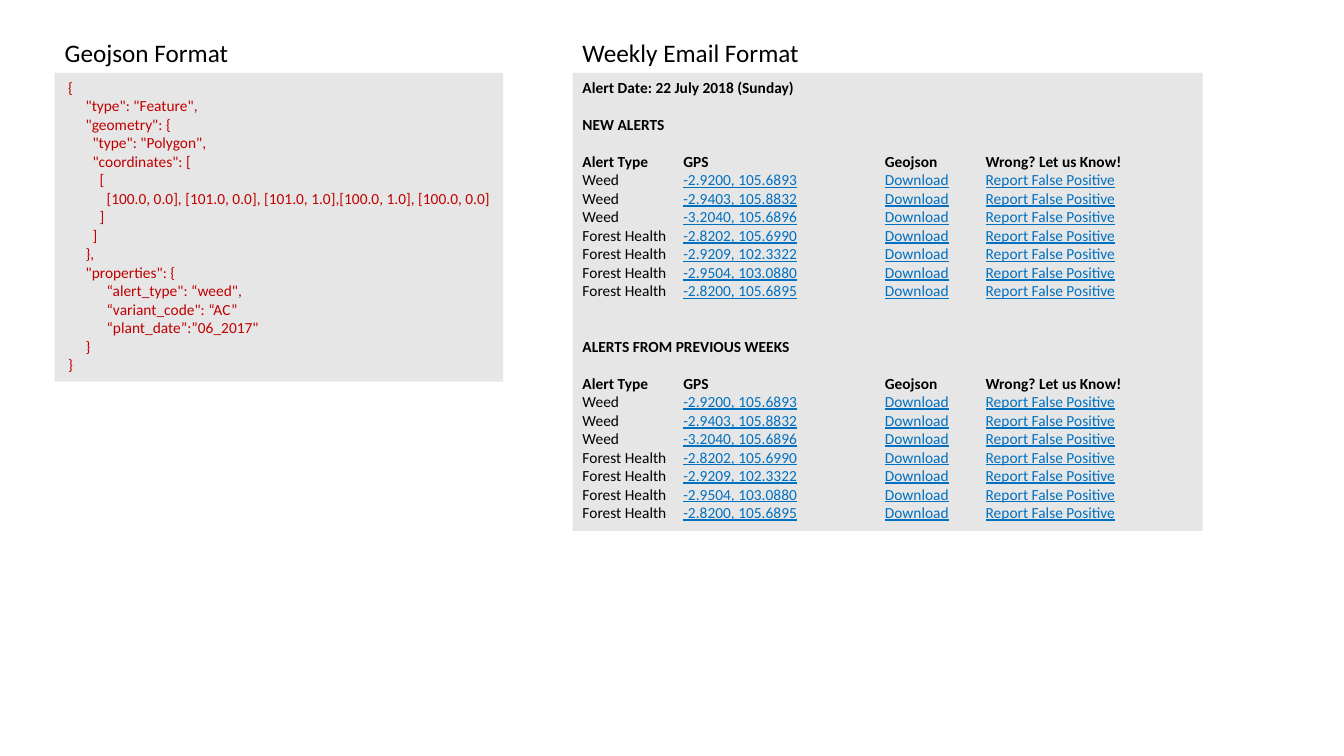
from lxml.etree import SubElement
from pptx import Presentation
from pptx.dml.color import RGBColor
from pptx.enum.text import MSO_AUTO_SIZE
from pptx.oxml.ns import qn
from pptx.util import Cm, Pt

PANEL_GREY = RGBColor(0xE7, 0xE6, 0xE6)
CODE_RED = RGBColor(0xC0, 0x00, 0x00)
LINK_BLUE = RGBColor(0x00, 0x70, 0xC0)
BLACK = RGBColor(0x00, 0x00, 0x00)

SPACE_WIDTH = Cm(0.088)
EMPTY_LINE = 13.2
COLUMN_STOPS = [Cm(2.54), Cm(7.62), Cm(10.16)]

# Each line of code with its indent, counted in spaces
CODE_LINES = [
    (1, '{'),
    (6, '"type": "Feature",'),
    (6, '"geometry": {'),
    (8, '"type": "Polygon",'),
    (8, '"coordinates": ['),
    (10, '['),
    (12, '[100.0, 0.0], [101.0, 0.0], [101.0, 1.0],[100.0, 1.0], [100.0, 0.0]'),
    (10, ']'),
    (8, ']'),
    (6, '},'),
    (6, '"properties": {'),
    (12, '“alert_type": “weed",'),
    (12, '“variant_code": “AC”'),
    (12, '“plant_date”:”06_2017"'),
    (6, '}'),
    (1, '}'),
]
COLUMN_HEADS = ["Alert Type", "GPS", "Geojson", "Wrong? Let us Know!"]
ALERTS = [
    ("Weed", "-2.9200, 105.6893"),
    ("Weed", "-2.9403, 105.8832"),
    ("Weed", "-3.2040, 105.6896"),
    ("Forest Health", "-2.8202, 105.6990"),
    ("Forest Health", "-2.9209, 102.3322"),
    ("Forest Health", "-2.9504, 103.0880"),
    ("Forest Health", "-2.8200, 105.6895"),
]


def add_text_frame(left, top, width, height, wrap):
    box = slide.shapes.add_textbox(left, top, width, height)
    if wrap:
        box.fill.solid()
        box.fill.fore_color.rgb = PANEL_GREY
    box.text_frame.word_wrap = wrap
    box.text_frame.auto_size = MSO_AUTO_SIZE.SHAPE_TO_FIT_TEXT
    return box.text_frame


def add_line(frame, text="", size=11, color=BLACK, bold=False, empty_lines=0):
    """Fill the frame's first paragraph, or append one, below a gap of empty lines."""
    line = frame.paragraphs[0]
    if line.runs:
        line = frame.add_paragraph()
    if text:
        line.add_run().text = text
    line.font.name = "Calibri"
    line.font.size = Pt(size)
    line.font.bold = bold
    line.font.color.rgb = color
    if empty_lines:
        line.space_before = Pt(EMPTY_LINE * empty_lines)
    return line


presentation = Presentation()
presentation.slide_width = Cm(33.87)
presentation.slide_height = Cm(19.05)
slide = presentation.slides.add_slide(presentation.slide_layouts[6])

# Geojson format
geojson = add_text_frame(Cm(1.38), Cm(1.84), Cm(11.3), Cm(7.78), True)
for spaces, code in CODE_LINES:
    code_line = add_line(geojson, code, color=CODE_RED)
    code_line._p.get_or_add_pPr().set("marL", str(spaces * SPACE_WIDTH))

# Weekly email format
email = add_text_frame(Cm(14.43), Cm(1.84), Cm(15.88), Cm(11.54), True)
add_line(email, "Alert Date: 22 July 2018 (Sunday)", bold=True)
for section, gap in [("NEW ALERTS", 1), ("ALERTS FROM PREVIOUS WEEKS", 2)]:
    add_line(email, section, bold=True, empty_lines=gap)
    table_lines = [add_line(email, "\t".join(COLUMN_HEADS), bold=True, empty_lines=1)]
    for alert_type, gps in ALERTS:
        alert = add_line(email, alert_type)
        for link_text in [gps, "Download", "Report False Positive"]:
            alert.add_run().text = "\t"
            link = alert.add_run()
            link.text = link_text
            link.font.underline = True
            link.font.color.rgb = LINK_BLUE
        table_lines.append(alert)
    for table_line in table_lines:
        properties = table_line._p.get_or_add_pPr()
        tab_list = SubElement(properties, qn("a:tabLst"))
        for stop in COLUMN_STOPS:
            SubElement(tab_list, qn("a:tab"), pos=str(stop), algn="l")
        properties.find(qn("a:defRPr")).addprevious(tab_list)

# Headings
for heading, left, width in [
    ("Geojson Format", Cm(1.38), Cm(4.67)),
    ("Weekly Email Format", Cm(14.43), Cm(6.02)),
]:
    add_line(add_text_frame(left, Cm(0.82), width, Cm(1.03), False), heading, size=18)

presentation.save("out.pptx")
